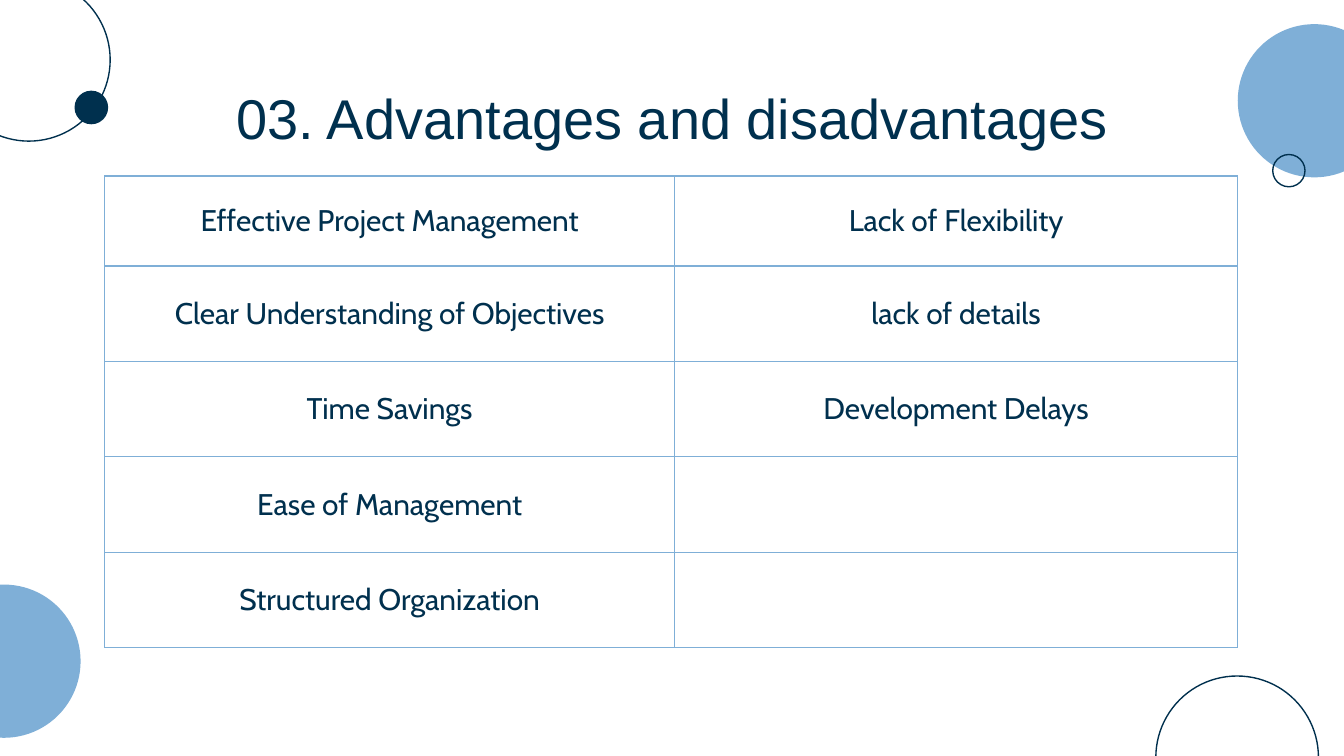
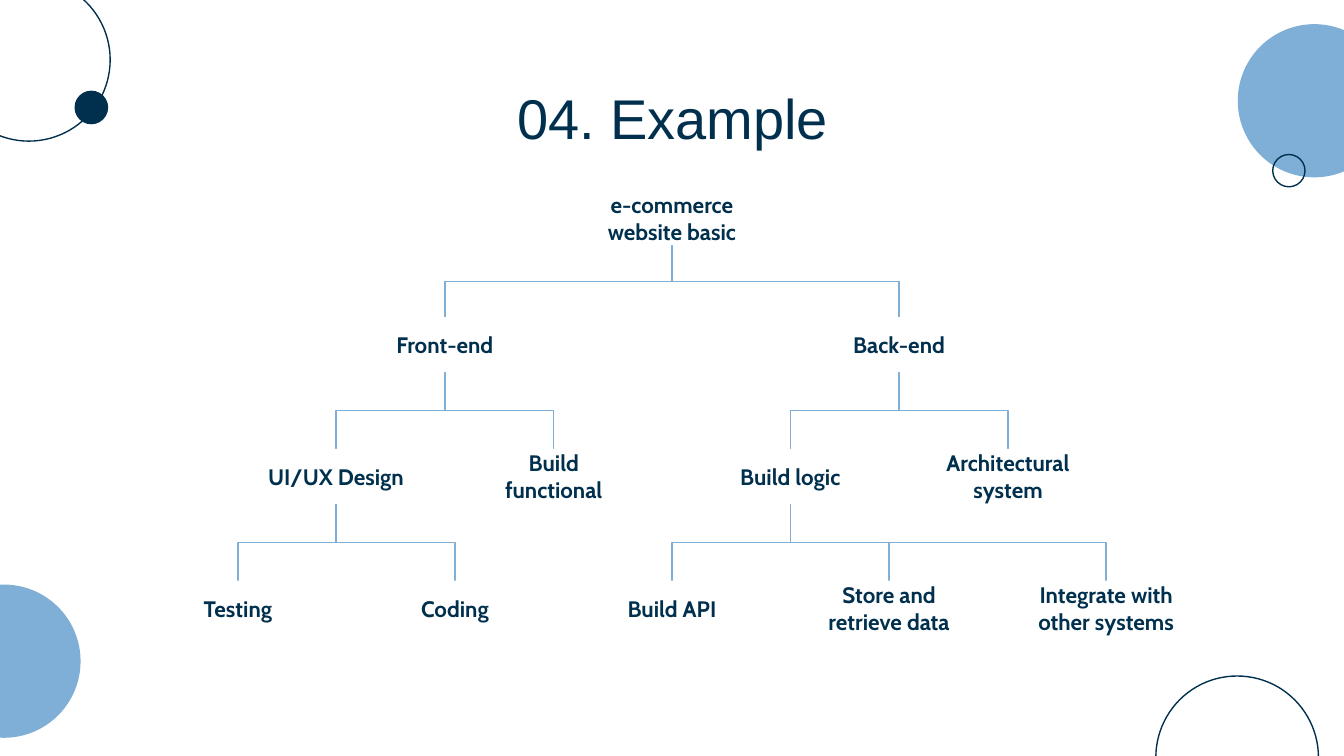
from lxml import etree
from pptx import Presentation
from pptx.dml.color import RGBColor
from pptx.enum.shapes import MSO_CONNECTOR, MSO_SHAPE
from pptx.enum.text import MSO_ANCHOR, PP_ALIGN
from pptx.oxml.ns import qn
from pptx.util import Inches, Pt

ELBOW = MSO_CONNECTOR.ELBOW
OVAL, RECTANGLE = MSO_SHAPE.OVAL, MSO_SHAPE.RECTANGLE
TOP, MIDDLE = MSO_ANCHOR.TOP, MSO_ANCHOR.MIDDLE
CENTER = PP_ALIGN.CENTER

COLORS = {"navy": "00304E", "sky": "7FAFD7", "white": "FFFFFF"}
FORMATS = {
    "title": {"name": "Arial", "size": Pt(30), "bold": False},
    "cell": {"name": "Cabin", "size": Pt(16), "bold": False},
    "node": {"name": "Cabin", "size": Pt(12), "bold": True},
}
MARGINS = {f"margin_{side}": Inches(0.1) for side in ("left", "right", "top", "bottom")}
COLUMNS, ROWS = 100, 56.25
LINE_WIDTH = Pt(0.75)

CIRCLES = [
    (-5.4, 43.5, 11.4, "sky", None),
    (86, 50.3, 12.1, None, "navy"),
    (92.1, 1.8, 11.4, "sky", None),
    (94.7, 11.5, 2.4, None, "navy"),
    (-3.9, -1.6, 12.1, None, "navy"),
    (5.6, 6.8, 2.4, "navy", "navy"),
]

COMPARISON = [
    ("Effective Project Management", "Lack of Flexibility"),
    ("Clear Understanding of Objectives", "lack of details"),
    ("Time Savings", "Development Delays"),
    ("Ease of Management", ""),
    ("Structured Organization", ""),
]

MIDDLE_COLUMN, BRANCH, TWIG, LEAF = 50, 16.9, 8.1, 16.15
NODE_TOPS = [14.15, 23.6, 33.4, 43.2]
NODE_WIDTHS = [14.7, 14.7, 12.9, 12.9]
NODE_HEIGHT = 4.1
FRONT, BACK = MIDDLE_COLUMN - BRANCH, MIDDLE_COLUMN + BRANCH


def leaf(label, step):
    return label, MIDDLE_COLUMN + step * LEAF, []


PROJECT = ("e-commerce website basic", MIDDLE_COLUMN, [
    ("Front-end", FRONT, [
        ("UI/UX Design", FRONT - TWIG, [leaf("Testing", -2), leaf("Coding", -1)]),
        ("Build functional", FRONT + TWIG, []),
    ]),
    ("Back-end", BACK, [
        ("Build logic", BACK - TWIG, [
            leaf("Build API", 0),
            leaf("Store and retrieve data", 1),
            leaf("Integrate with other systems", 2),
        ]),
        ("Architectural system", BACK + TWIG, []),
    ]),
])


class Board:
    def __init__(self):
        self.deck = Presentation()
        self.deck.slide_width, self.deck.slide_height = Inches(10), Inches(5.625)
        self.page = None

    def across(self, columns):
        return round(self.deck.slide_width * columns / COLUMNS)

    def down(self, rows):
        return round(self.deck.slide_height * rows / ROWS)

    def area(self, left, top, width, height):
        return self.across(left), self.down(top), self.across(width), self.down(height)

    def color(self, name):
        return RGBColor.from_string(COLORS[name])

    def new_page(self, title):
        self.page = self.deck.slides.add_slide(self.deck.slide_layouts[6])
        for left, top, size, fill, line in CIRCLES:
            self.shape(OVAL, (left, top, size, size), fill, line)
        box = self.page.shapes.add_textbox(*self.area(7.9, 4.9, 84.3, 6.3))
        self.text(box.text_frame, title, "title", TOP)
        box.text_frame.margin_top = Inches(0.13)

    def apply(self, target, values):
        for name, value in values.items():
            setattr(target, name, value)

    def text(self, frame, words, style, anchor=MIDDLE):
        frame.word_wrap = True
        frame.vertical_anchor = anchor
        self.apply(frame, MARGINS)
        self.span(frame, words, style)

    def span(self, frame, words, style):
        para = frame.paragraphs[0]
        para.alignment = CENTER
        span = para.add_run()
        span.text = words
        self.apply(span.font, FORMATS[style])
        span.font.color.rgb = self.color("navy")

    def shape(self, kind, place, fill=None, line=None):
        shape = self.page.shapes.add_shape(kind, *self.area(*place))
        shape.shadow.inherit = False
        for target, name in ((shape.fill, fill), (shape.line.fill, line)):
            if name:
                target.solid()
                target.fore_color.rgb = self.color(name)
            else:
                target.background()
        if line:
            shape.line.width = LINE_WIDTH
        return shape

    def elbow(self, start, end):
        (x1, y1), (x2, y2) = start, end
        x, y = (x1 + x2) / 2, (y1 + y2) / 2
        half_run, half_drop = (x2 - x1) / 2, (y2 - y1) / 2
        link = self.page.shapes.add_connector(
            ELBOW,
            self.across(x - half_drop), self.down(y + half_run),
            self.across(x + half_drop), self.down(y - half_run))
        link.line.color.rgb = self.color("sky")
        link.line.width = LINE_WIDTH
        properties = link._element.spPr
        properties.find(qn("a:xfrm")).set("rot", "5400000")
        etree.SubElement(properties, qn("a:effectLst"))

    def border(self, cell, name):
        properties = cell._tc.get_or_add_tcPr()
        for index, side in enumerate(("lnL", "lnR", "lnT", "lnB")):
            line = etree.Element(qn(f"a:{side}"), w=str(int(LINE_WIDTH)))
            fill = etree.SubElement(line, qn("a:solidFill"))
            etree.SubElement(fill, qn("a:srgbClr"), val=COLORS[name])
            properties.insert(index, line)

    def table(self, left, top, widths, heights, content):
        place = self.area(left, top, sum(widths), sum(heights))
        table = self.page.shapes.add_table(len(heights), len(widths), *place).table
        table.first_row = table.horz_banding = False
        for column, width in zip(table.columns, widths):
            column.width = self.across(width)
        for row, height, texts in zip(table.rows, heights, content):
            row.height = self.down(height)
            for cell, words in zip(row.cells, texts):
                cell.fill.background()
                self.border(cell, "sky")
                cell.vertical_anchor = MIDDLE
                self.apply(cell, MARGINS)
                if words:
                    self.span(cell.text_frame, words, "cell")

    def links(self, node, level=0):
        _, x, children = node
        for child in children:
            self.elbow((x, NODE_TOPS[level] + NODE_HEIGHT),
                       (child[1], NODE_TOPS[level + 1]))
            self.links(child, level + 1)

    def nodes(self, node, level=0):
        label, x, children = node
        width = NODE_WIDTHS[level]
        place = (x - width / 2, NODE_TOPS[level], width, NODE_HEIGHT)
        box = self.shape(RECTANGLE, place, "white")
        self.text(box.text_frame, label, "node")
        for child in children:
            self.nodes(child, level + 1)


def main():
    board = Board()
    board.new_page("03. Advantages and disadvantages")
    board.table(7.8, 13.1, [42.4, 41.9], [6.7] + [7.1] * 4, COMPARISON)
    board.new_page("04. Example")
    board.links(PROJECT)
    board.nodes(PROJECT)
    board.deck.save("out.pptx")


if __name__ == "__main__":
    main()
